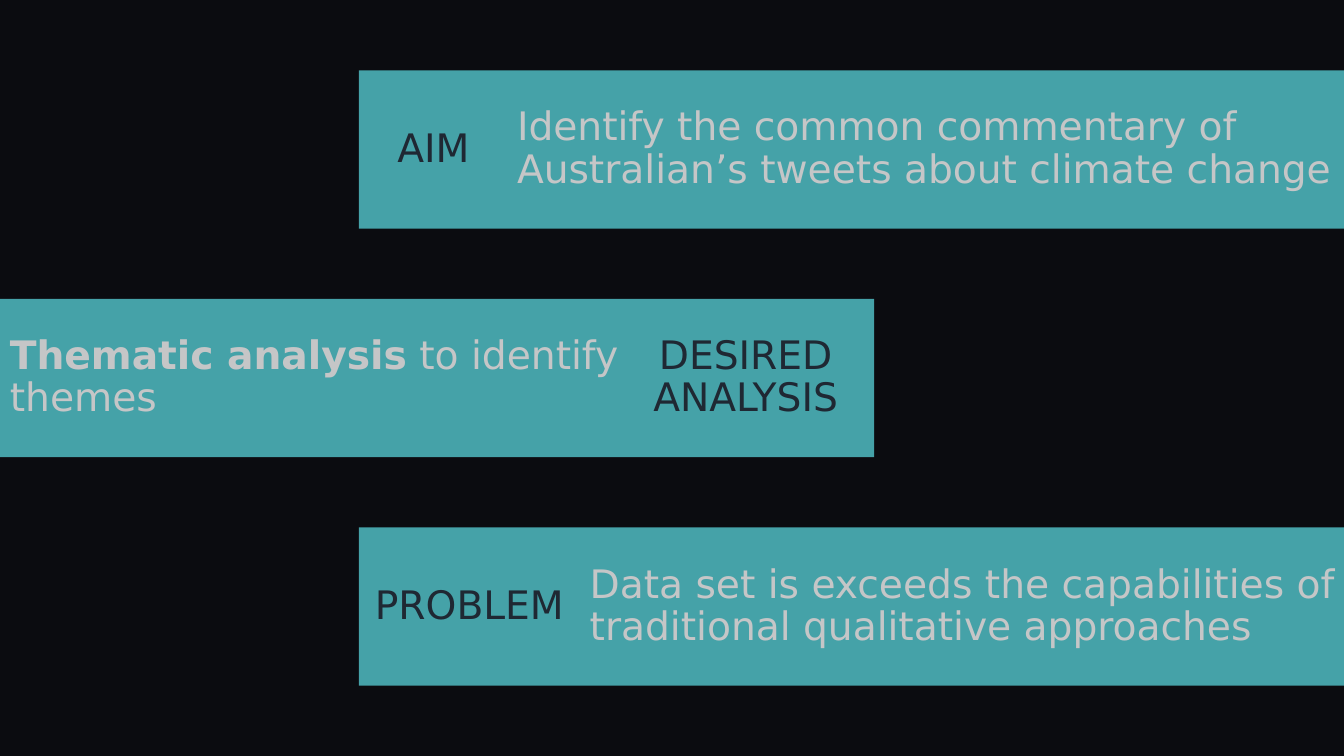
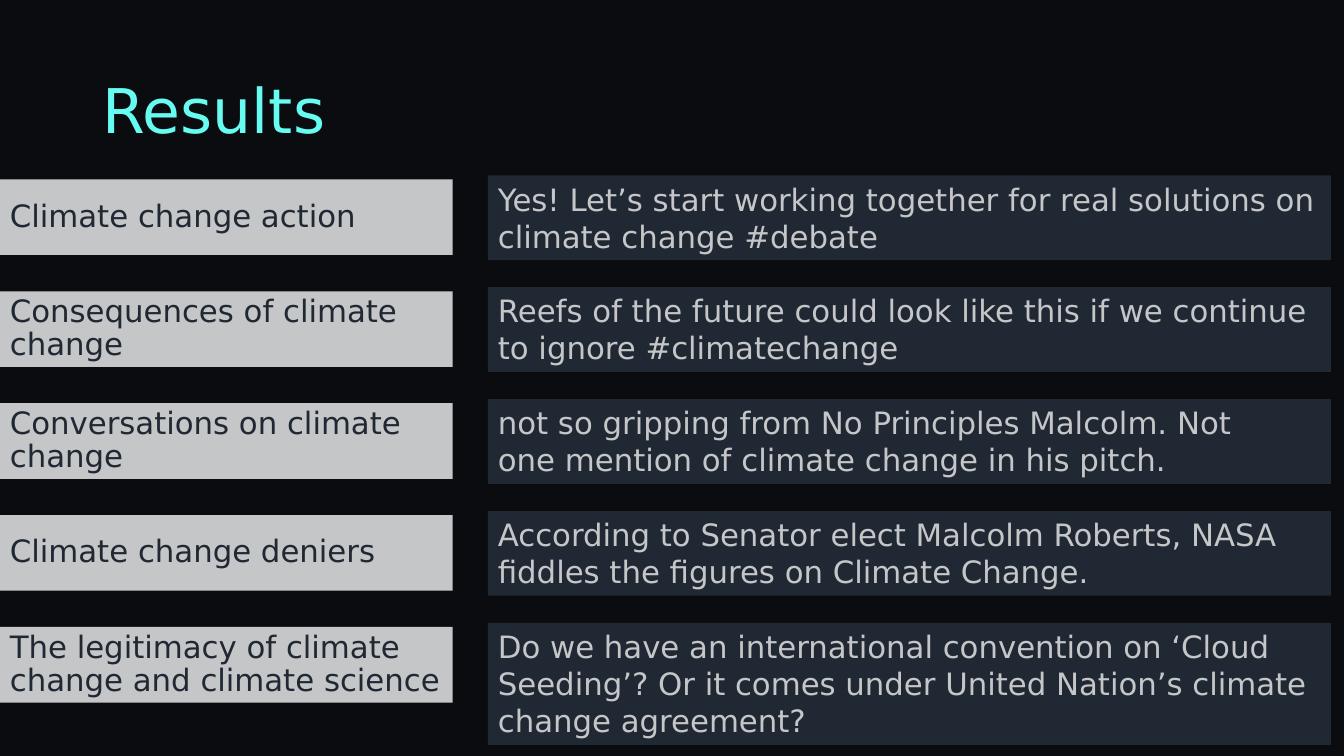
from dataclasses import dataclass

from pptx import Presentation
from pptx.dml.color import RGBColor
from pptx.enum.shapes import MSO_SHAPE as Shape
from pptx.enum.text import MSO_ANCHOR as Anchor, MSO_AUTO_SIZE as AutoSize, PP_ALIGN as Align
from pptx.util import Inches, Pt

COLORS = {
    "background": "0B0C10",
    "bar": "45A2A8",
    "silver": "C5C6C7",
    "navy": "1F2833",
    "title": "66FCF1",
}
FONT = "DejaVu Sans"
WIDTH, HEIGHT = 13.33, 7.5
TITLE_ONLY, BLANK = 5, 6

BAR_HEIGHT = 1.57
BAR_LEFT = 3.56
BAR_END = 8.67

ROW_TOP, ROW_PITCH = 1.78, 1.11
THEME_WIDTH, THEME_HEIGHT = 4.49, 0.75
QUOTE_LEFT, QUOTE_WIDTH = 4.84, 8.36
QUOTE_RISE = 0.04


@dataclass
class Box:
    left: float
    top: float
    width: float
    height: float

    def lengths(self) -> tuple:
        return tuple(Inches(v) for v in (self.left, self.top, self.width, self.height))


@dataclass
class Style:
    size: int
    color: str
    align: Align = Align.LEFT
    anchor: Anchor = Anchor.MIDDLE
    line_spacing: float = 0.9
    space_before: int = 10


@dataclass
class Statement:
    label: str
    label_width: float
    body: str
    body_width: float
    bold: str = ""
    from_left: bool = False


@dataclass
class Result:
    theme: str
    quote: tuple[str, ...]
    quote_height: float = 0.84


LABEL = Style(28, "navy", Align.CENTER)
BODY = Style(28, "silver")
THEME = Style(22, "navy")
QUOTE = Style(22, "silver", anchor=Anchor.TOP, line_spacing=1.0, space_before=0)
TITLE = Style(44, "title", space_before=0)

STATEMENTS = [
    Statement("AIM", 1.48,
              "Identify the common commentary of Australian’s tweets about climate change", 8.3),
    Statement("DESIRED ANALYSIS", 2.55, " to identify themes", 6.47,
              bold="Thematic analysis", from_left=True),
    Statement("PROBLEM", 2.19,
              "Data set is exceeds the capabilities of traditional qualitative approaches", 7.58),
]
RESULTS = [
    Result("Climate change action",
           ("Yes! Let’s start working together for real solutions on climate change #debate",)),
    Result("Consequences of climate change",
           ("Reefs of the future could look like this if we continue to ignore #climatechange",)),
    Result("Conversations on climate change",
           ("not so gripping from No Principles Malcolm. Not",
            "one mention of climate change in his pitch.")),
    Result("Climate change deniers",
           ("According to Senator elect Malcolm Roberts, NASA fiddles the figures on Climate Change.",)),
    Result("The legitimacy of climate change and climate science",
           ("Do we have an international convention on ‘Cloud Seeding’? "
            "Or it comes under United Nation’s climate change agreement?",), 1.21),
]


def rgb(name: str) -> RGBColor:
    return RGBColor.from_string(COLORS[name])


def write(tf, style: Style, lines: tuple[str, ...], bold: str = "") -> None:
    tf.word_wrap = True
    tf.auto_size = AutoSize.NONE
    tf.vertical_anchor = style.anchor
    for i, line in enumerate(lines):
        p = tf.paragraphs[0] if i == 0 else tf.add_paragraph()
        p.alignment = style.align
        p.line_spacing = style.line_spacing
        p.space_before = Pt(style.space_before)
        p.font.name = FONT
        p.font.size = Pt(style.size)
        p.font.color.rgb = rgb(style.color)
        if bold and i == 0:
            r = p.add_run()
            r.text = bold
            r.font.bold = True
        p.add_run().text = line


def add_rect(s, box: Box, fill: str):
    sp = s.shapes.add_shape(Shape.RECTANGLE, *box.lengths())
    sp.shadow.inherit = False
    sp.fill.solid()
    sp.fill.fore_color.rgb = rgb(fill)
    sp.line.fill.background()
    return sp


def add_text(s, box: Box, style: Style, text: str, bold: str = ""):
    tf = s.shapes.add_textbox(*box.lengths()).text_frame
    write(tf, style, (text,), bold)
    return tf


def add_statement(s, top: float, item: Statement) -> None:
    if item.from_left:
        left, right = 0, BAR_END
        body_left, label_left = 0, BAR_END - item.label_width
    else:
        left, right = BAR_LEFT, WIDTH
        body_left, label_left = WIDTH - item.body_width, BAR_LEFT
    add_rect(s, Box(left, top, right - left, BAR_HEIGHT), "bar")
    body = Box(body_left, top, item.body_width, BAR_HEIGHT)
    add_text(s, body, BODY, item.body, item.bold).margin_right = 0
    add_text(s, Box(label_left, top, item.label_width, BAR_HEIGHT), LABEL, item.label)


def add_result(s, top: float, item: Result) -> None:
    theme = add_rect(s, Box(0, top, THEME_WIDTH, THEME_HEIGHT), "silver")
    write(theme.text_frame, THEME, (item.theme,))
    box = Box(QUOTE_LEFT, top - QUOTE_RISE, QUOTE_WIDTH, item.quote_height)
    quote = add_rect(s, box, "navy")
    write(quote.text_frame, QUOTE, item.quote)


def build_aims(prs) -> None:
    s = prs.slides.add_slide(prs.slide_layouts[BLANK])
    gap = (HEIGHT - len(STATEMENTS) * BAR_HEIGHT) / (len(STATEMENTS) + 1)
    for i, item in enumerate(STATEMENTS):
        add_statement(s, gap + i * (BAR_HEIGHT + gap), item)


def build_results(prs) -> None:
    s = prs.slides.add_slide(prs.slide_layouts[TITLE_ONLY])
    title = s.shapes.title
    title.left, title.top, title.width, title.height = Box(0.92, 0.4, 11.5, 1.45).lengths()
    write(title.text_frame, TITLE, ("Results",))
    for i, item in enumerate(RESULTS):
        add_result(s, ROW_TOP + i * ROW_PITCH, item)


def main() -> None:
    prs = Presentation()
    prs.slide_width, prs.slide_height = Inches(WIDTH), Inches(HEIGHT)
    fill = prs.slide_master.background.fill
    fill.solid()
    fill.fore_color.rgb = rgb("background")
    build_aims(prs)
    build_results(prs)
    prs.save("out.pptx")


if __name__ == "__main__":
    main()
